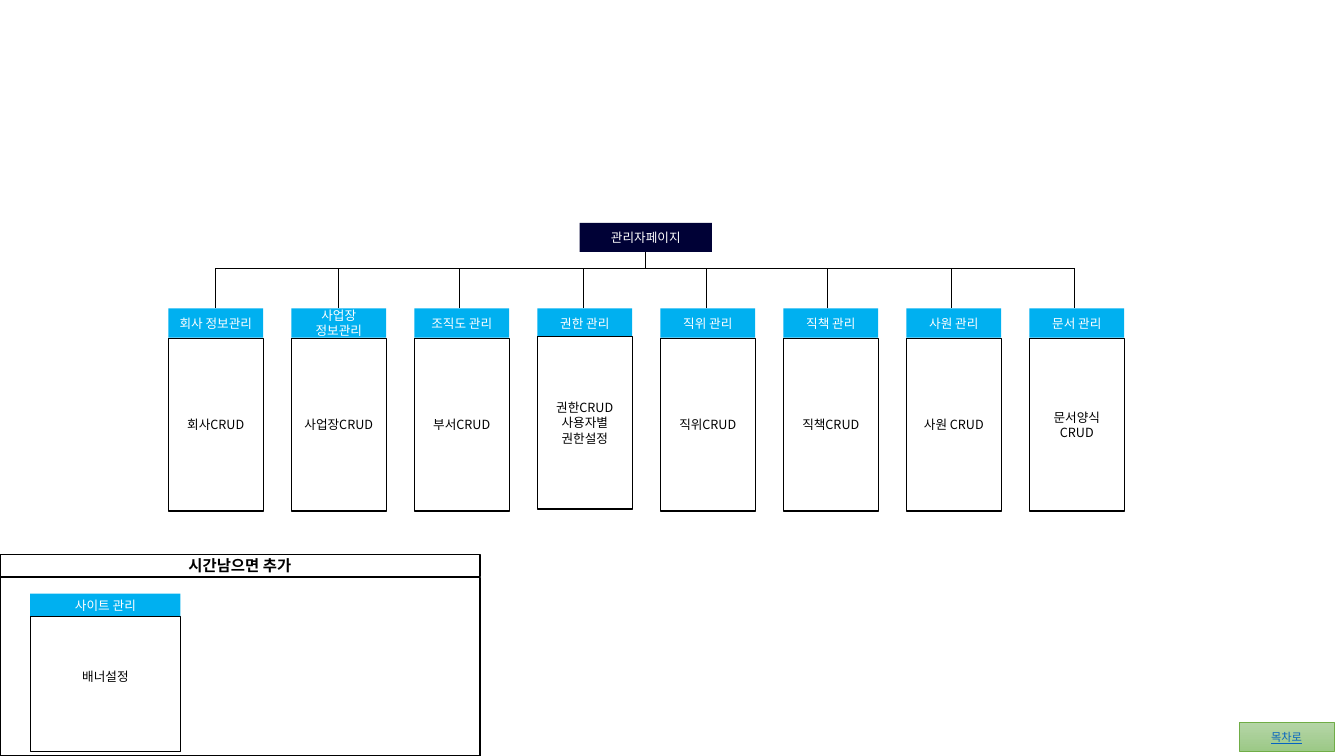
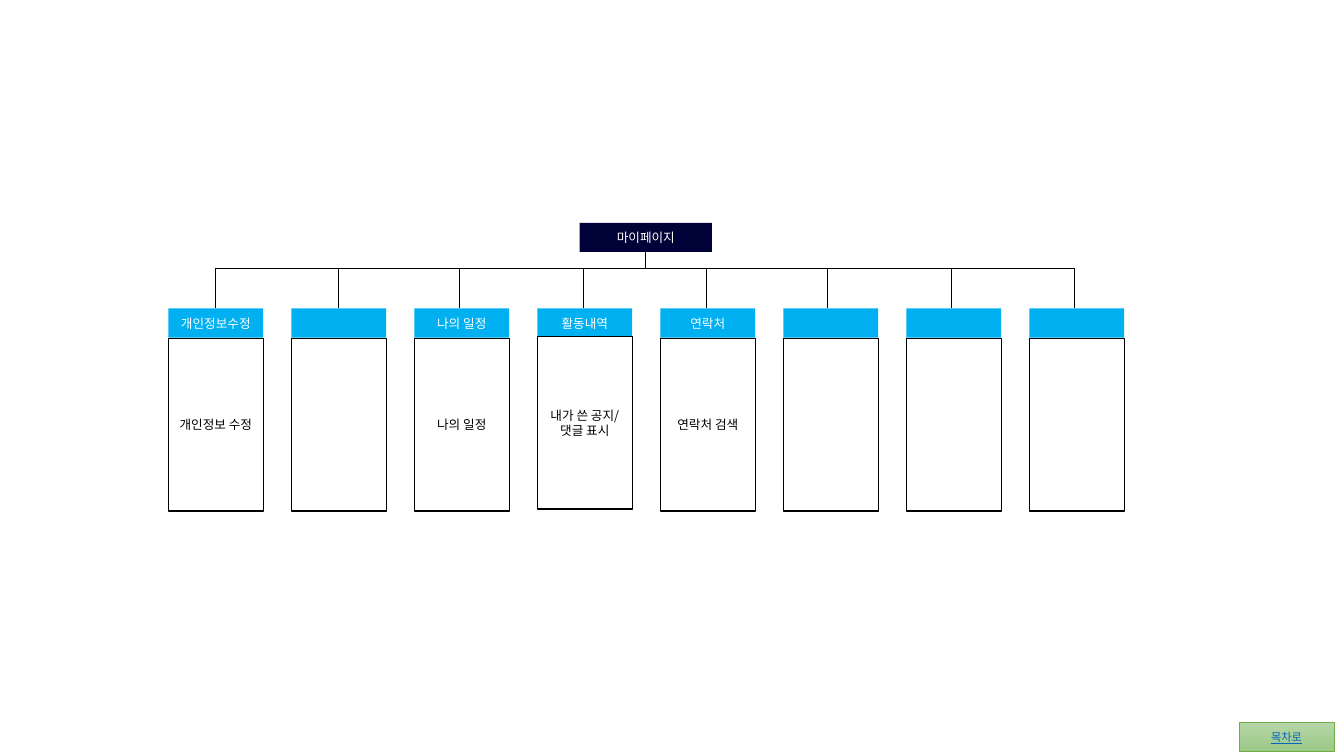
from lxml import etree
from pptx import Presentation
from pptx.dml.color import RGBColor
from pptx.enum.shapes import MSO_CONNECTOR, MSO_SHAPE
from pptx.enum.text import MSO_ANCHOR, PP_ALIGN
from pptx.oxml.ns import qn
from pptx.util import Inches, Pt

RECT = MSO_SHAPE.RECTANGLE
STRAIGHT = MSO_CONNECTOR.STRAIGHT
MIDDLE = MSO_ANCHOR.MIDDLE
CENTER = PP_ALIGN.CENTER

FONT = "Noto Sans CJK KR"
COLORS = {
    "navy": "000136",
    "sky": "00B0F0",
    "white": "FFFFFF",
    "black": "000000",
    "button_top": "B5D5A7",
    "button_bottom": "9CC987",
    "button_line": "70AD47",
    "link": "0563C1",
}

COLUMN_LEFT, COLUMN_STEP, COLUMN_W = 1.67, 1.22, 0.94
HEADER_TOP, HEADER_H = 3.06, 0.29
BODY_TOP, RAISED_BODY_TOP, BODY_H = 3.36, 3.34, 1.71
RAISED_COLUMN = 3
ROOT_X, ROOT_BOTTOM, BUS_Y = 6.4, 2.5, 2.66
DROP_X = (2.14, 3.36, 4.56, 5.79, 7.01, 8.21, 9.44, 10.66)

ADMIN_COLUMNS = [
    ("회사 정보관리", "회사CRUD"),
    ("사업장 정보관리", "사업장CRUD"),
    ("조직도 관리", "부서CRUD"),
    ("권한 관리", "권한CRUD\n사용자별 권한설정"),
    ("직위 관리", "직위CRUD"),
    ("직책 관리", "직책CRUD"),
    ("사원 관리", "사원 CRUD"),
    ("문서 관리", "문서양식 CRUD"),
]
MY_PAGE_COLUMNS = [
    ("개인정보수정", "개인정보 수정"),
    ("", ""),
    ("나의 일정", "나의 일정"),
    ("활동내역", "내가 쓴 공지/ 댓글 표시"),
    ("연락처", "연락처 검색"),
    ("", ""),
    ("", ""),
    ("", ""),
]


def rgb(name):
    return RGBColor.from_string(COLORS[name])


def write_text(sp, text, color, size=9, bold=False, underline=False):
    tf = sp.text_frame
    tf.text = text
    tf.word_wrap = True
    tf.vertical_anchor = MIDDLE
    tf.margin_left = tf.margin_right = Inches(0.08)
    for p in tf.paragraphs:
        p.alignment = CENTER
        for r in p.runs:
            r.font.size = Pt(size)
            r.font.bold = bold
            r.font.underline = underline
            r.font.color.rgb = rgb(color)
            r.font.name = FONT
            ea = etree.SubElement(r.font._element, qn("a:ea"))
            ea.set("typeface", FONT)


def add_box(shapes, x, y, w, h, fill, line=None, line_width=0.75):
    sp = shapes.add_shape(RECT, Inches(x), Inches(y), Inches(w), Inches(h))
    sp.shadow.inherit = False
    sp.fill.solid()
    sp.fill.fore_color.rgb = rgb(fill)
    if line:
        sp.line.color.rgb = rgb(line)
        sp.line.width = Pt(line_width)
    else:
        sp.line.fill.background()
    return sp


def add_header(shapes, x, y, w, h, text, fill="sky"):
    sp = add_box(shapes, x, y, w, h, fill)
    if text:
        write_text(sp, text, "white")


def add_body(shapes, x, y, w, h, text):
    sp = add_box(shapes, x, y, w, h, "white", "black")
    if text:
        write_text(sp, text, "black")
    return sp


def add_line(shapes, x1, y1, x2, y2):
    cx = shapes.add_connector(STRAIGHT, Inches(x1), Inches(y1), Inches(x2), Inches(y2))
    cx.line.color.rgb = rgb("black")
    cx.line.width = Pt(0.5)
    etree.SubElement(cx._element.spPr, qn("a:effectLst"))


def add_tree(s, root, columns):
    add_header(s.shapes, 5.75, 2.21, 1.31, HEADER_H, root, "navy")
    add_line(s.shapes, ROOT_X, BUS_Y, ROOT_X, ROOT_BOTTOM)
    add_line(s.shapes, DROP_X[0], BUS_Y, DROP_X[-1], BUS_Y)
    for i, (header, body) in enumerate(columns):
        x = COLUMN_LEFT + i * COLUMN_STEP
        body_top = RAISED_BODY_TOP if i == RAISED_COLUMN else BODY_TOP
        add_line(s.shapes, DROP_X[i], HEADER_TOP, DROP_X[i], BUS_Y)
        add_header(s.shapes, x, HEADER_TOP, COLUMN_W, HEADER_H, header)
        add_body(s.shapes, x, body_top, COLUMN_W, BODY_H, body)


def add_optional_panel(s):
    shapes = s.shapes.add_group_shape().shapes
    add_box(shapes, 0, 5.73, 4.76, 1.77, "white", "black", 1)
    title = add_box(shapes, 0, 5.5, 4.76, 0.22, "white", "black", 1)
    write_text(title, "시간남으면 추가", "black", 11, bold=True)
    add_header(shapes, 0.3, 5.89, 1.49, 0.23, "사이트 관리")
    body = add_body(shapes, 0.3, 6.12, 1.49, 1.34, "배너설정")
    body.text_frame.margin_bottom = Inches(0.2)


def add_contents_button(s):
    sp = add_box(s.shapes, 12.29, 7.17, 0.94, 0.28, "button_top", "button_line", 0.5)
    sp.fill.gradient()
    sp.fill.gradient_angle = 270
    for stop, name in zip(sp.fill.gradient_stops, ("button_top", "button_bottom")):
        stop.color.rgb = rgb(name)
    write_text(sp, "목차로", "link", 8, underline=True)


def add_tree_slide(prs, root, columns):
    s = prs.slides.add_slide(prs.slide_layouts[6])
    add_tree(s, root, columns)
    add_contents_button(s)
    return s


def main():
    prs = Presentation()
    prs.slide_width, prs.slide_height = Inches(13.33), Inches(7.5)
    admin = add_tree_slide(prs, "관리자페이지", ADMIN_COLUMNS)
    add_optional_panel(admin)
    add_tree_slide(prs, "마이페이지", MY_PAGE_COLUMNS)
    prs.save("out.pptx")


if __name__ == "__main__":
    main()
